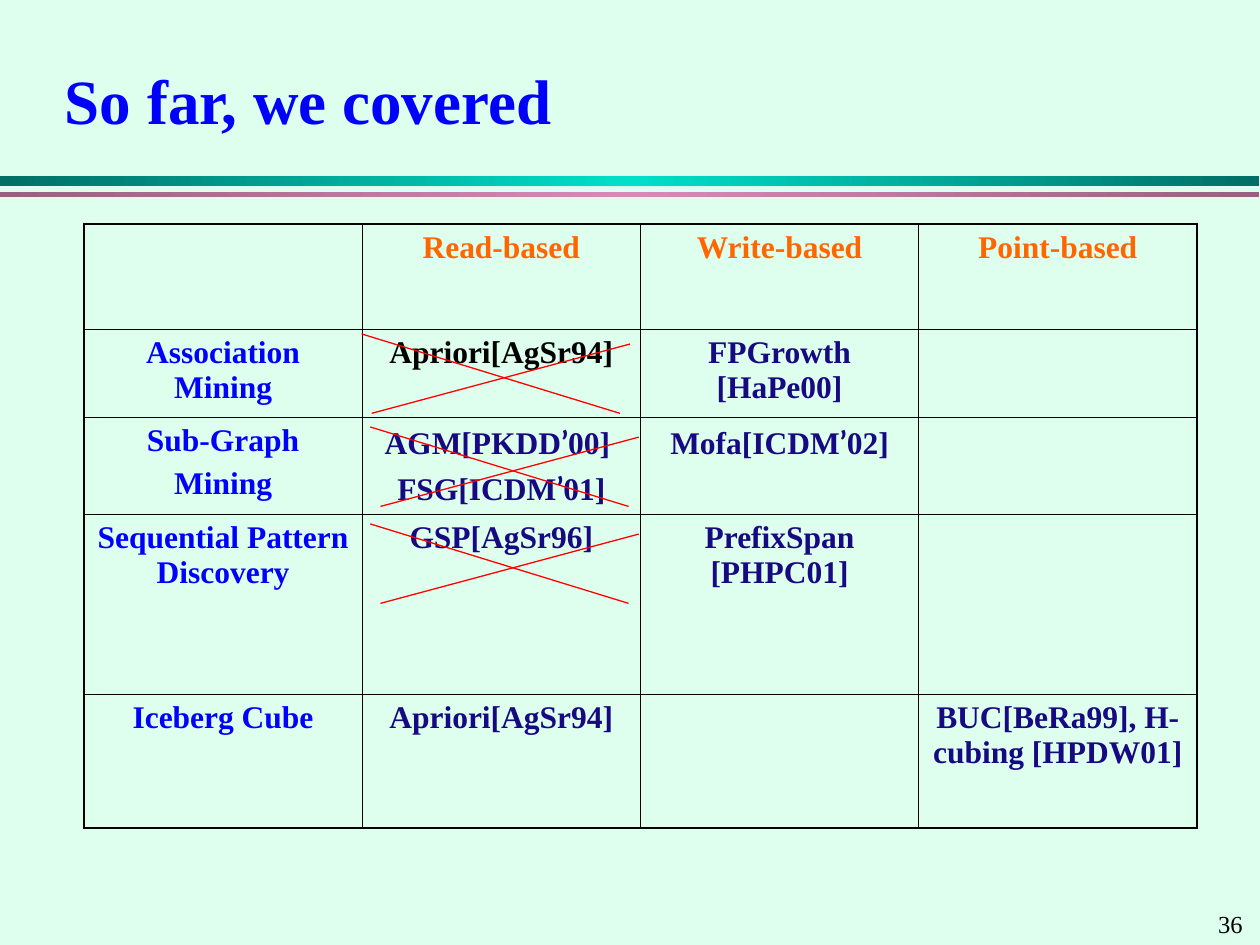
from copy import deepcopy

from pptx import Presentation
from pptx.dml.color import RGBColor
from pptx.enum.shapes import MSO_CONNECTOR as CONN, MSO_SHAPE as SHAPE
from pptx.enum.text import MSO_ANCHOR as ANCHOR, PP_ALIGN as ALIGN
from pptx.oxml.ns import qn
from pptx.util import Pt
from lxml.etree import SubElement

COLORS = {
    "background": "DEFEEE", "teal_dark": "006F65", "teal": "00DFCA",
    "mauve_dark": "976080", "mauve": "D989B8", "blue": "0000FF",
    "orange": "FF6600", "navy": "170981", "black": "000000", "red": "FF0000",
}
FONT = "Times New Roman"
QUOTE_FONT = "Lato"
THIN, THICK = 0.45, 1.08
COL_WIDTH = 159
ROW_HEIGHTS = [60, 50.3, 55.4, 103, 76.2]
ROWS = [
    ["", "Read-based", "Write-based", "Point-based"],
    ["Association Mining", "Apriori[AgSr94]", "FPGrowth [HaPe00]", ""],
    ["Sub-Graph\nMining", "AGM[PKDD’00] \nFSG[ICDM’01]", "Mofa[ICDM’02]", ""],
    ["Sequential Pattern Discovery", "GSP[AgSr96]", "PrefixSpan [PHPC01]", ""],
    ["Iceberg Cube", "Apriori[AgSr94]", "", "BUC[BeRa99], H-cubing [HPDW01]"],
]
CROSSES = [(206.6, 190.8), (211.6, 244), (211.6, 299.4)]


def rgb(name):
    return RGBColor.from_string(COLORS[name])


def set_font(font, size, color, bold=False):
    font.name, font.size, font.bold = FONT, Pt(size), bold
    font.color.rgb = rgb(color)


def add_text(slide, text, box, size, color, bold=False, anchor=ANCHOR.TOP):
    tf = slide.shapes.add_textbox(*map(Pt, box)).text_frame
    tf.word_wrap = True
    tf.vertical_anchor = anchor
    p = tf.paragraphs[0]
    p.text = text
    set_font(p.font, size, color, bold)


def add_band(slide, top, height, edge, middle):
    s = slide.shapes.add_shape(SHAPE.RECTANGLE, 0, Pt(top), Pt(719.5), Pt(height))
    s.shadow.inherit = False
    s.line.fill.background()
    s.fill.gradient()
    s.fill.gradient_angle = 0
    stops = s._element.spPr.find(".//" + qn("a:gsLst"))
    stops.append(deepcopy(stops[-1]))
    for stop, pos, color in zip(s.fill.gradient_stops, (0, 0.5, 1), (edge, middle, edge)):
        stop.position = pos
        stop.color.rgb = rgb(color)


def set_borders(cell, widths):
    tc_pr = cell._tc.get_or_add_tcPr()
    for i, (side, width) in enumerate(widths.items()):
        ln = tc_pr.makeelement(qn(f"a:ln{side}"), {"w": str(Pt(width))})
        fill = SubElement(ln, qn("a:solidFill"))
        SubElement(fill, qn("a:srgbClr"), val=COLORS["black"])
        tc_pr.insert(i, ln)


def fill_cell(cell, text, color):
    tf = cell.text_frame
    for i, line in enumerate(text.split("\n")):
        p = tf.add_paragraph() if i else tf.paragraphs[0]
        p.alignment = ALIGN.CENTER
        p.space_before = Pt(4.5)
        set_font(p.font, 18, color, True)
        before, quote, after = line.partition("’")
        for part in filter(None, (before, quote, after)):
            r = p.add_run()
            r.text = part
            if part == quote:
                r.font.name = QUOTE_FONT


def cell_color(row, col):
    if row == 0:
        return "orange"
    if col == 0:
        return "blue"
    return "black" if (row, col) == (1, 1) else "navy"


def add_methods_table(slide):
    n_rows, n_cols = len(ROWS), len(ROWS[0])
    table = slide.shapes.add_table(
        n_rows, n_cols, Pt(48), Pt(128), Pt(COL_WIDTH * n_cols), Pt(sum(ROW_HEIGHTS))
    ).table
    table.first_row = table.horz_banding = False
    for column in table.columns:
        column.width = Pt(COL_WIDTH)
    for i, texts in enumerate(ROWS):
        table.rows[i].height = Pt(ROW_HEIGHTS[i])
        for j, text in enumerate(texts):
            cell = table.cell(i, j)
            cell.fill.background()
            fill_cell(cell, text, cell_color(i, j))
            outer = {"L": j == 0, "R": j == n_cols - 1, "T": i == 0, "B": i == n_rows - 1}
            set_borders(cell, {k: THICK if v else THIN for k, v in outer.items()})


def add_line(slide, x1, y1, x2, y2):
    c = slide.shapes.add_connector(CONN.STRAIGHT, Pt(x1), Pt(y1), Pt(x2), Pt(y2))
    c.line.color.rgb = rgb("red")
    c.line.width = Pt(0.75)
    SubElement(c._element.spPr, qn("a:effectLst"))


def add_cross(slide, left, top):
    bottom = top + 45.4
    add_line(slide, left + 5.8, bottom, left + 153.4, top + 5.8)
    add_line(slide, left + 147.6, bottom, left, top)


def main():
    prs = Presentation()
    prs.slide_width, prs.slide_height = Pt(720), Pt(540)
    slide = prs.slides.add_slide(prs.slide_layouts[6])
    slide.background.fill.solid()
    slide.background.fill.fore_color.rgb = rgb("background")
    add_band(slide, 100.8, 5.6, "teal_dark", "teal")
    add_band(slide, 109.6, 3, "mauve_dark", "mauve")
    add_text(slide, "36", (689, 516.2, 31, 24.5), 14, "black")
    add_text(slide, "So far, we covered", (30, 30.2, 660, 52.6), 36, "blue", True, ANCHOR.MIDDLE)
    add_methods_table(slide)
    for left, top in CROSSES:
        add_cross(slide, left, top)
    prs.save("out.pptx")


if __name__ == "__main__":
    main()
